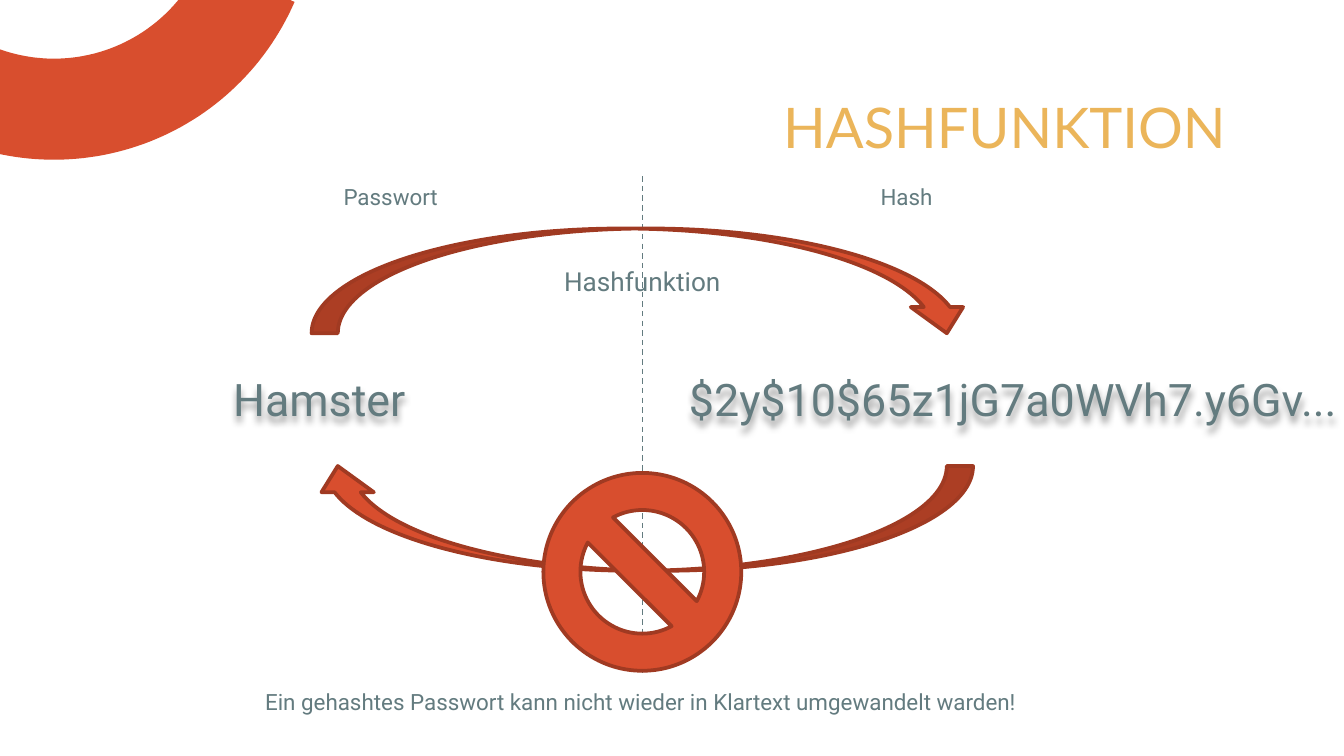
import math

import lxml.etree
import pptx
import pptx.dml.color
import pptx.enum.dml
import pptx.enum.shapes
import pptx.enum.text
import pptx.oxml
import pptx.oxml.ns
import pptx.util

Cm = pptx.util.Cm
Pt = pptx.util.Pt
ALIGN = pptx.enum.text.PP_ALIGN
ANCHOR = pptx.enum.text.MSO_ANCHOR
AUTO_SIZE = pptx.enum.text.MSO_AUTO_SIZE
SHAPE = pptx.enum.shapes.MSO_SHAPE

RED = "D84E2E"
DARK_RED = "A03A22"
GOLD = "EBB55A"
GREY = "637B7F"


def color(value):
    return pptx.dml.color.RGBColor.from_string(value)


def effect_list(shape):
    return lxml.etree.SubElement(shape._element.spPr, pptx.oxml.ns.qn("a:effectLst"))


class SlideBuilder:
    def __init__(self, slide):
        self.slide = slide
        self.shapes = slide.shapes
        self.body_font = "Roboto"
        self.title_font = "Lato"

    def add_text(self, frame, text, size, font, font_color, alignment):
        paragraph = frame.paragraphs[0]
        paragraph.alignment = alignment
        run = paragraph.add_run()
        run.text = text
        run.font.size = Pt(size)
        run.font.name = font
        run.font.color.rgb = color(font_color)

    def title(self, text, left, top, width, height):
        title = self.shapes.title
        title.left, title.top = Cm(left), Cm(top)
        title.width, title.height = Cm(width), Cm(height)
        frame = title.text_frame
        frame.auto_size = AUTO_SIZE.NONE
        frame.vertical_anchor = ANCHOR.TOP
        frame.margin_left = frame.margin_right = Cm(0.25)
        frame.margin_top = frame.margin_bottom = Cm(0.25)
        self.add_text(frame, text, 30, self.title_font, GOLD, ALIGN.RIGHT)

    def label(self, text, left, top, width, height, size=12):
        box = self.shapes.add_textbox(Cm(left), Cm(top), Cm(width), Cm(height))
        frame = box.text_frame
        frame.word_wrap = True
        frame.auto_size = AUTO_SIZE.SHAPE_TO_FIT_TEXT
        self.add_text(frame, text, size, self.body_font, GREY, ALIGN.CENTER)
        return box

    def shadowed_label(self, *arguments):
        """Add a large label whose letters cast a soft shadow downwards."""
        effects = effect_list(self.label(*arguments, size=24))
        effects.append(pptx.oxml.parse_xml(
            f'<a:outerShdw {pptx.oxml.ns.nsdecls("a")} blurRad="50800" dist="38100" '
            'dir="5400000" algn="t" rotWithShape="0">'
            '<a:srgbClr val="000000"><a:alpha val="40000"/></a:srgbClr></a:outerShdw>'))

    def symbol(self, kind, left, top, width, height, text=None):
        shape = self.shapes.add_shape(kind, Cm(left), Cm(top), Cm(width), Cm(height))
        shape.shadow.inherit = False
        shape.fill.solid()
        shape.fill.fore_color.rgb = color(RED)
        shape.line.color.rgb = color(DARK_RED)
        shape.line.width = Pt(2)
        if text:
            shape.text_frame.vertical_anchor = ANCHOR.MIDDLE
            self.add_text(shape.text_frame, text, 14, self.body_font, GREY, ALIGN.CENTER)
        return shape

    def divider(self, x, top, bottom):
        line = self.shapes.add_connector(
            pptx.enum.shapes.MSO_CONNECTOR.STRAIGHT, Cm(x), Cm(top), Cm(x), Cm(bottom))
        line.line.color.rgb = color(GREY)
        line.line.width = Pt(0.75)
        line.line.dash_style = pptx.enum.dml.MSO_LINE.DASH
        effect_list(line)

    def ring_segment(self, center_x, center_y, outer, inner, start, end):
        """Add a ring segment between two angles, in degrees clockwise from the right."""
        steps = 60
        angles = [math.radians(start + (end - start) * step / steps)
                  for step in range(steps + 1)]
        points = [(Cm(center_x + radius * math.cos(angle)),
                   Cm(center_y + radius * math.sin(angle)))
                  for radius, arc in ((outer, angles), (inner, angles[::-1]))
                  for angle in arc]
        builder = self.shapes.build_freeform(*points[0])
        builder.add_line_segments(points[1:], close=True)
        ring = builder.convert_to_shape()
        ring.shadow.inherit = False
        ring.fill.solid()
        ring.fill.fore_color.rgb = color(RED)
        ring.line.fill.background()


def main():
    presentation = pptx.Presentation()
    presentation.slide_width = Cm(25.4)
    presentation.slide_height = Cm(14.29)
    slide = presentation.slides.add_slide(presentation.slide_layouts[5])
    builder = SlideBuilder(slide)

    axis = 12.14
    arrow_width, arrow_height = 12.5, 1.98
    arrow_left = axis - arrow_width / 2
    sign_size = 3.74

    builder.ring_segment(1.02, -1.94, 4.96, 3.05, 23.5, 113.5)
    builder.title("HASHFUNKTION", 6.71, 1.5, 16.71, 1.6)
    builder.divider(axis, 3.33, 12.78)

    for heading, left in (("Passwort", 3.51), ("Hash", 13.26)):
        builder.label(heading, left, 3.33, 7.75, 0.76)
    builder.shadowed_label("Hamster", 3.51, 6.91, 5.05, 1.27)
    builder.shadowed_label("$2y$10$65z1jG7a0WVh7.y6Gv...", 12.47, 6.91, 13.34, 1.27)

    builder.symbol(SHAPE.CURVED_DOWN_ARROW, arrow_left, 4.32,
                   arrow_width, arrow_height, "Hashfunktion")
    return_arrow = builder.symbol(SHAPE.CURVED_UP_ARROW, arrow_left, 8.81,
                                  arrow_width, arrow_height)
    return_arrow._element.spPr.xfrm.set("flipH", "1")
    builder.symbol(SHAPE.NO_SYMBOL, axis - sign_size / 2, 8.94, sign_size, sign_size)

    builder.label("Ein gehashtes Passwort kann nicht wieder in Klartext umgewandelt warden!",
                  2.69, 12.88, 18.85, 0.76)

    presentation.save("out.pptx")


if __name__ == "__main__":
    main()
